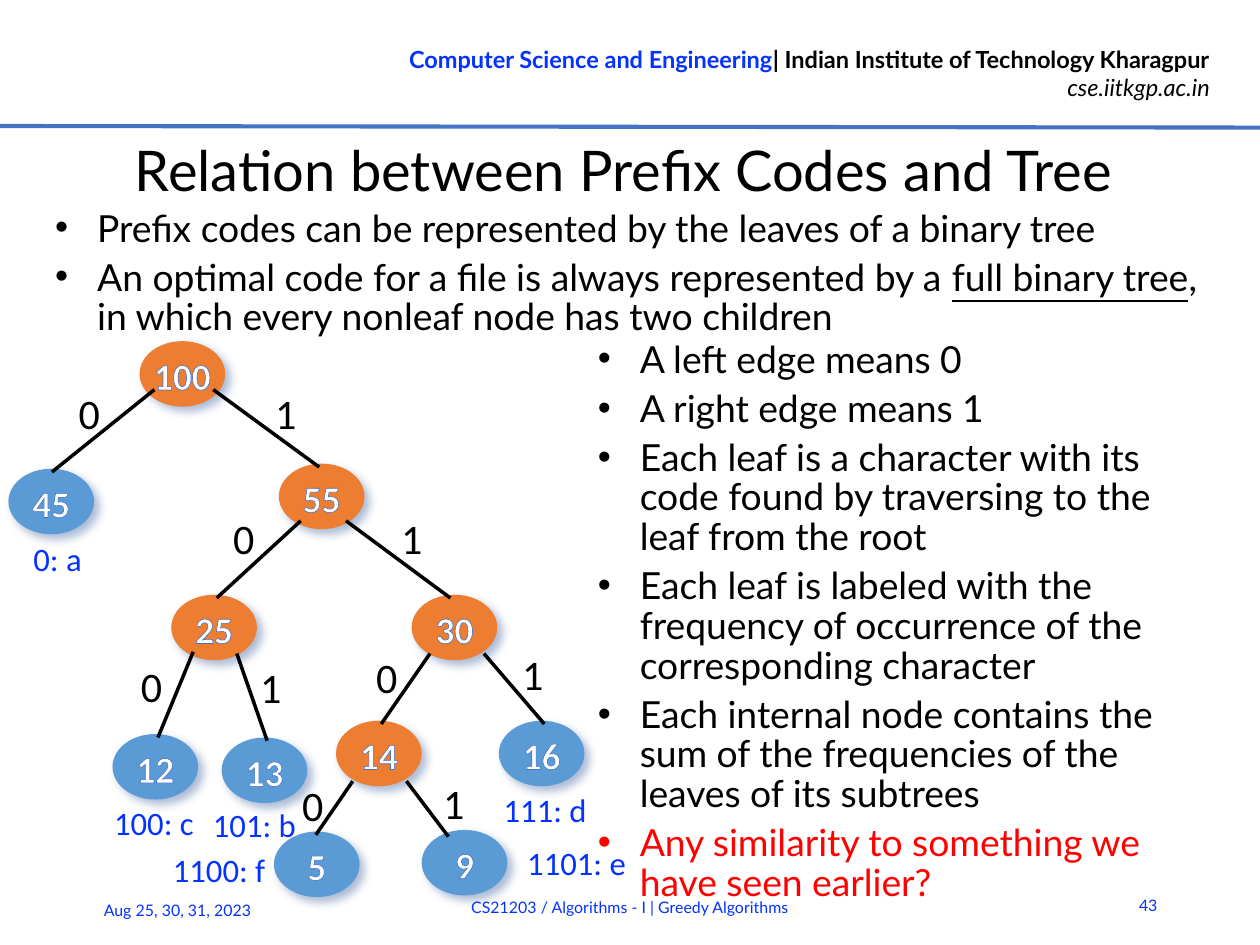
from lxml import etree
from pptx import Presentation
from pptx.dml.color import RGBColor
from pptx.enum import shapes, text
from pptx.oxml import ns
from pptx.util import Pt

HUES = {
    "black": "000000", "white": "FFFFFF", "blue": "0432FF", "red": "FF0000",
    "rule": "4472C4", "leaf": "5B9BD5", "inner": "ED7D31", "shade": "2F5597",
}
LEFT, MID, RIGHT = text.PP_ALIGN.LEFT, text.PP_ALIGN.CENTER, text.PP_ALIGN.RIGHT
NODE_W, NODE_H = 36.7, 28.1

# Weight, left, top
INNER = [("100", 59.8, 146.2), ("55", 119.5, 198.7), ("25", 73.4, 254.9),
         ("30", 176.4, 254.9), ("14", 144, 308.9)]
LEAVES = [("45", 3.6, 200.9), ("12", 48.2, 314.6), ("13", 95, 316.1),
          ("16", 213.8, 308.9), ("9", 180.7, 355.7), ("5", 117.4, 356.4)]
# Bit, start and end of the edge, left and top of its label
EDGES = [
    ("0", (66.2, 167, 22.3, 202.3), (26.6, 162.7)),
    ("1", (91.4, 167, 136.8, 200.2), (110.9, 162.7)),
    ("0", (128.9, 223.2, 92.9, 256.3), (92.9, 216)),
    ("1", (148.3, 223.2, 193, 256.3), (164.9, 216)),
    ("0", (82.8, 279.4, 67.7, 316.1), (53.3, 279.4)),
    ("1", (101.5, 280.1, 114.5, 317.5), (104.4, 280.1)),
    ("0", (184.3, 280.1, 163.4, 310.3), (154.1, 275.8)),
    ("1", (207.4, 280.1, 233.3, 310.3), (216.7, 274.3)),
    ("0", (151.2, 334.8, 135.4, 357.8), (122.4, 330.5)),
    ("1", (174.2, 334.8, 192.2, 358.6), (182.9, 329.8)),
]
# Code and letter, left, top, width
CODES = [("0: a", 7.2, 227.5, 35.3), ("100: c", 41.8, 340.6, 49),
         ("101: b", 84.2, 341.3, 50.4), ("1100: f", 67, 360.7, 54.7),
         ("1101: e", 218.9, 357.8, 57.6), ("111: d", 208.8, 334.8, 50.4)]
RULES = [
    "A left edge means 0",
    "A right edge means 1",
    "Each leaf is a character with its code found by traversing to the leaf "
    "from the root",
    "Each leaf is labeled with the frequency of occurrence of the "
    "corresponding character",
    "Each internal node contains the sum of the frequencies of the leaves of "
    "its subtrees",
]


def color(key):
    return RGBColor.from_string(HUES[key])


def sub(node, tag, **attrs):
    """Append a DrawingML child element."""
    return etree.SubElement(node, ns.qn("a:" + tag), attrs)


def style(font, size, face="Lato", hue="black"):
    font.size, font.name = Pt(size), face
    font.color.rgb = color(hue)


def box(slide, left, top, width, height, wrap=True, mid=False):
    """Add an empty text box and return its frame."""
    frame = slide.shapes.add_textbox(
        Pt(left), Pt(top), Pt(width), Pt(height)).text_frame
    frame.word_wrap = wrap
    if mid:
        frame.vertical_anchor = text.MSO_ANCHOR.MIDDLE
    return frame


def label(slide, words, area, size, face, hue, align=LEFT, **opts):
    para = box(slide, *area, **opts).paragraphs[0]
    para.text, para.alignment = words, align
    style(para.font, size, face, hue)


def bullets(slide, area, items):
    """Add bulleted paragraphs; each item is its text runs and a hue."""
    frame = box(slide, *area)
    for i, (parts, hue) in enumerate(items):
        para = frame.add_paragraph() if i else frame.paragraphs[0]
        para.line_spacing, para.space_after = Pt(17), Pt(2)
        if i:
            para.space_before = Pt(2)
        props = para._p.get_or_add_pPr()
        props.set("marL", str(Pt(18)))
        props.set("indent", str(Pt(-18)))
        sub(props, "buFont", typeface="Arial")
        sub(props, "buChar", char="•")
        style(para.font, 16, hue=hue)
        for part in parts:
            para.add_run().text = part
    return frame


def line(slide, ends, hue, width):
    rule = slide.shapes.add_connector(
        shapes.MSO_CONNECTOR.STRAIGHT, *map(Pt, ends))
    rule.line.color.rgb, rule.line.width = color(hue), Pt(width)
    sub(rule._element.spPr, "effectLst")


def node(slide, weight, left, top, hue):
    oval = slide.shapes.add_shape(
        shapes.MSO_SHAPE.OVAL, Pt(left), Pt(top), Pt(NODE_W), Pt(NODE_H))
    oval.fill.solid()
    oval.fill.fore_color.rgb = color(hue)
    oval.line.fill.background()
    glow = sub(sub(oval._element.spPr, "effectLst"), "outerShdw",
               blurRad=str(Pt(4)), dist=str(Pt(3)), dir="2700000",
               algn="tl", rotWithShape="0")
    sub(sub(glow, "srgbClr", val=HUES["shade"]), "alpha", val="40000")

    frame = oval.text_frame
    frame.word_wrap = False
    frame.margin_left = frame.margin_right = 0
    frame.margin_top, frame.margin_bottom = Pt(1), 0
    frame.vertical_anchor = text.MSO_ANCHOR.MIDDLE
    para = frame.paragraphs[0]
    para.alignment = MID
    style(para.font, 16, "Calibri", "white")
    para.font.bold = True
    run = para.add_run()
    run.text = weight
    edge = sub(run._r.get_or_add_rPr(), "ln", w=str(Pt(0.8)))
    sub(sub(edge, "solidFill"), "srgbClr", val=HUES["rule"])


def header(slide):
    frame = box(slide, 137.5, 15.8, 388.1, 31.7, wrap=False)
    top, site = frame.paragraphs[0], frame.add_paragraph()
    for para in (top, site):
        para.alignment = RIGHT
        style(para.font, 10.1)
    top.font.bold = site.font.italic = True
    dept, school = top.add_run(), top.add_run()
    dept.text = "Computer Science and Engineering"
    dept.font.color.rgb = color("blue")
    school.text = "| Indian Institute of Technology Kharagpur"
    site.text = "cse.iitkgp.ac.in"
    line(slide, (0, 54, 540, 54.7), "rule", 1.75)


def footer(slide):
    for words, area, align in [
            ("Aug 25, 30, 31, 2023", (37.4, 379.4, 94.3, 21.6), LEFT),
            ("CS21203 / Algorithms - I | Greedy Algorithms",
             (89.3, 378, 361.4, 21.6), MID),
            ("43", (476.6, 377.3, 26.6, 21.6), RIGHT)]:
        label(slide, words, area, 6.8, "Lato", "blue", align, mid=True)


def tree(slide):
    for hue, group in (("inner", INNER), ("leaf", LEAVES)):
        for item in group:
            node(slide, *item, hue)
    for bit, ends, spot in EDGES:
        line(slide, ends, "black", 1.5)
        label(slide, bit, (*spot, 23.8, 28.8), 18, "Calibri", "black",
              wrap=False)
    for code, left, top, width in CODES:
        label(slide, code, (left, top, width, 24.5), 14, "Calibri", "blue",
              wrap=False)


def main():
    deck = Presentation()
    deck.slide_width, deck.slide_height = Pt(540), Pt(405)
    slide = deck.slides.add_slide(deck.slide_layouts[6])
    header(slide)
    label(slide, "Relation between Prefix Codes and Tree",
          (17.3, 57.6, 499.7, 29.5), 24, "Lato", "black", MID, mid=True)
    facts = bullets(slide, (16.6, 86.4, 515.5, 61.2), [
        (["Prefix codes can be represented by the leaves of a binary tree"],
         "black"),
        (["An optimal code for a file is always represented by a ",
          "full binary tree",
          ", in which every nonleaf node has two children"], "black")])
    facts.paragraphs[1].runs[1].font.underline = True
    bullets(slide, (249.1, 142.6, 277.2, 228.2),
            [([rule], "black") for rule in RULES]
            + [(["Any similarity to something we have seen earlier?"], "red")])
    tree(slide)
    footer(slide)
    deck.save("out.pptx")


if __name__ == "__main__":
    main()
